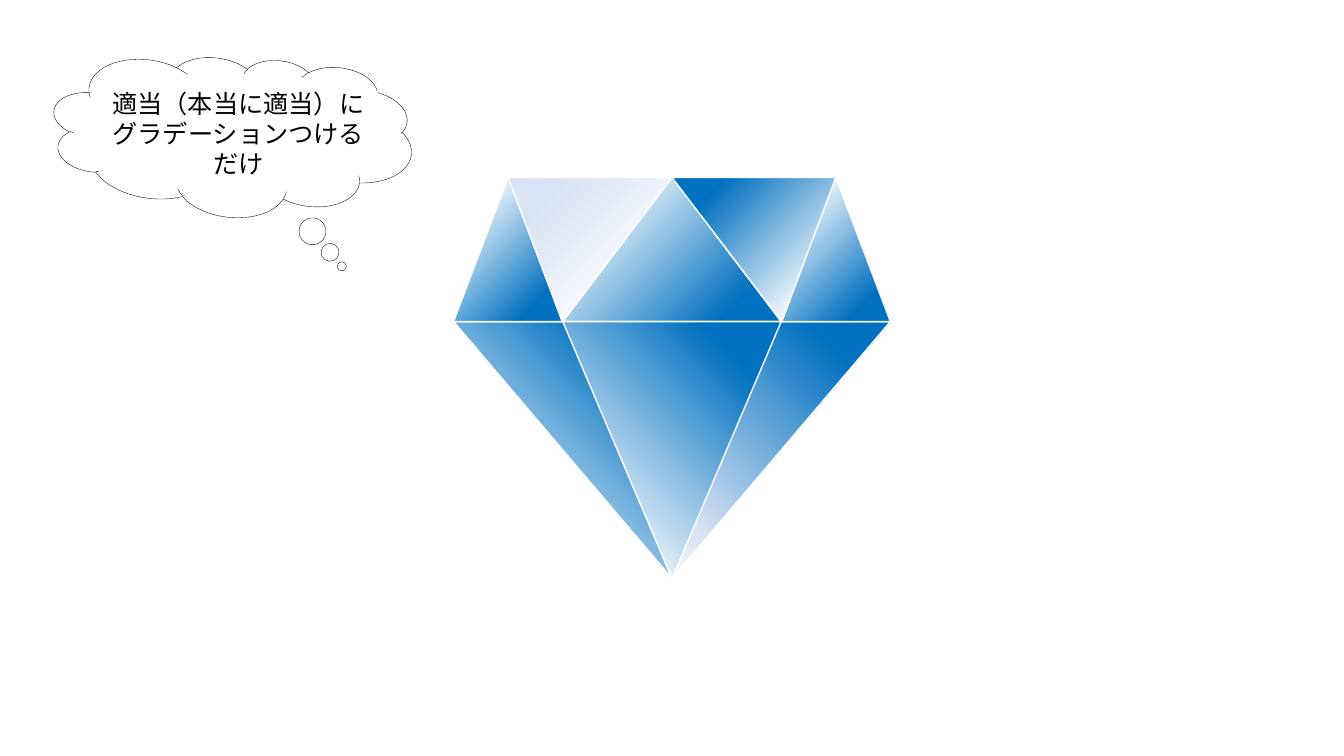
from lxml import etree
from pptx import Presentation
from pptx import util as u
from pptx.dml.color import RGBColor
from pptx.enum import shapes, text
from pptx.oxml.ns import qn

Pt = u.Pt
MSO = shapes.MSO_SHAPE

theme = {
    "white": "FFFFFF",
    "ink": "000000",
    "font": "Noto Sans CJK JP",
    "size": 18,
    # gradient stops: position in percent, colour
    "blue": [(0, "F7FAFD"), (15, "FFFFFF"), (83, "0070C0"), (100, "0070C0")],
    "lilac": [(0, "F7FAFD"), (15, "DAE3F3"), (83, "0070C0"), (100, "0070C0")],
    "pale": [(0, "DAE3F3"), (16, "FFFFFF"), (83, "DAE3F3"), (100, "DAE3F3")],
}


def add_white(group, kind, x, y, w, h, rotation=0):
    sp = group.shapes.add_shape(kind, Pt(x), Pt(y), Pt(w), Pt(h))
    sp.shadow.inherit = False
    sp.rotation = rotation
    sp.fill.solid()
    sp.fill.fore_color.rgb = RGBColor.from_string(theme["white"])
    sp.line.fill.background()
    return sp


def set_gradient(sp, stops):
    sp.fill.gradient()
    sp.fill.gradient_angle = 315  # counter-clockwise: light top left, dark bottom right
    stop_list = sp._element.spPr.find(qn("a:gradFill")).find(qn("a:gsLst"))
    for old in list(stop_list):
        stop_list.remove(old)
    for pos, color in stops:
        gs = etree.SubElement(stop_list, qn("a:gs"), pos=str(pos * 1000))
        etree.SubElement(gs, qn("a:srgbClr"), val=color)


prs = Presentation()
prs.slide_width, prs.slide_height = Pt(960), Pt(540)
s = prs.slides.add_slide(prs.slide_layouts[6])

# Diamond: the girdle is four units wide, the crown's top edge three
left, top, unit = 324, 126.75, 78
crown_h, pavilion_h = 103, 183.5
girdle = top + crown_h

# Facets: start and width in units, part, apex position, turn, colours
facets = [
    (1, 2, "crown", 0.5, None, "blue"),
    (0, 2, "pavilion", 1, "flip", "blue"),
    (2, 2, "pavilion", 0, "flip", "lilac"),
    (1, 2, "pavilion", 0.5, "flip", "blue"),
    (0, 1, "crown", 0.5, None, "blue"),
    (3, 1, "crown", 0.5, None, "blue"),
    (0.5, 1.5, "crown", 0.67, "rotate", "pale"),
    (2, 1.5, "crown", 0.33, "rotate", "blue"),
]
diamond = s.shapes.add_group_shape()
for start, width, part, apex, turn, colors in facets:
    y, h = (top, crown_h) if part == "crown" else (girdle, pavilion_h)
    sp = add_white(diamond, MSO.ISOSCELES_TRIANGLE, left + start * unit, y, width * unit, h,
                   180 if turn == "rotate" else 0)
    sp.adjustments[0] = apex
    if turn == "flip":
        sp._element.spPr.find(qn("a:xfrm")).set("flipV", "1")
    set_gradient(sp, theme[colors])
    sp.line.color.rgb = RGBColor.from_string(theme["white"])
    sp.line.width = Pt(1)

# Thought cloud
bubble = s.shapes.add_group_shape()
cloud = add_white(bubble, MSO.CLOUD_CALLOUT, 37.5, 39.5, 257, 115.25, 6.6)
cloud.adjustments[0], cloud.adjustments[1] = 0.344, 0.725
cloud.line.color.rgb = RGBColor.from_string(theme["ink"])
cloud.line.width = Pt(0.25)

# White patches over the cloud's inner arcs
for x, y, w, h, rotation in [
    (236, 108.5, 26, 11, 62.5),
    (52.5, 95, 15, 8.5, 0),
    (271.5, 93, 15, 8.5, 337.6),
]:
    add_white(bubble, MSO.RECTANGLE, x, y, w, h, rotation)

# Caption
caption = add_white(bubble, MSO.RECTANGLE, 70.5, 65, 199.5, 60.5)
tf = caption.text_frame
tf.word_wrap = True
tf.vertical_anchor = text.MSO_ANCHOR.MIDDLE
tf.text = "適当（本当に適当）に\nグラデーションつけるだけ"
for p in tf.paragraphs:
    p.alignment = text.PP_ALIGN.CENTER
    for r in p.runs:
        r.font.name = theme["font"]
        r.font.size = Pt(theme["size"])
        r.font.color.rgb = RGBColor.from_string(theme["ink"])
        etree.SubElement(r.font._element, qn("a:ea"), typeface=theme["font"])

prs.save("out.pptx")
